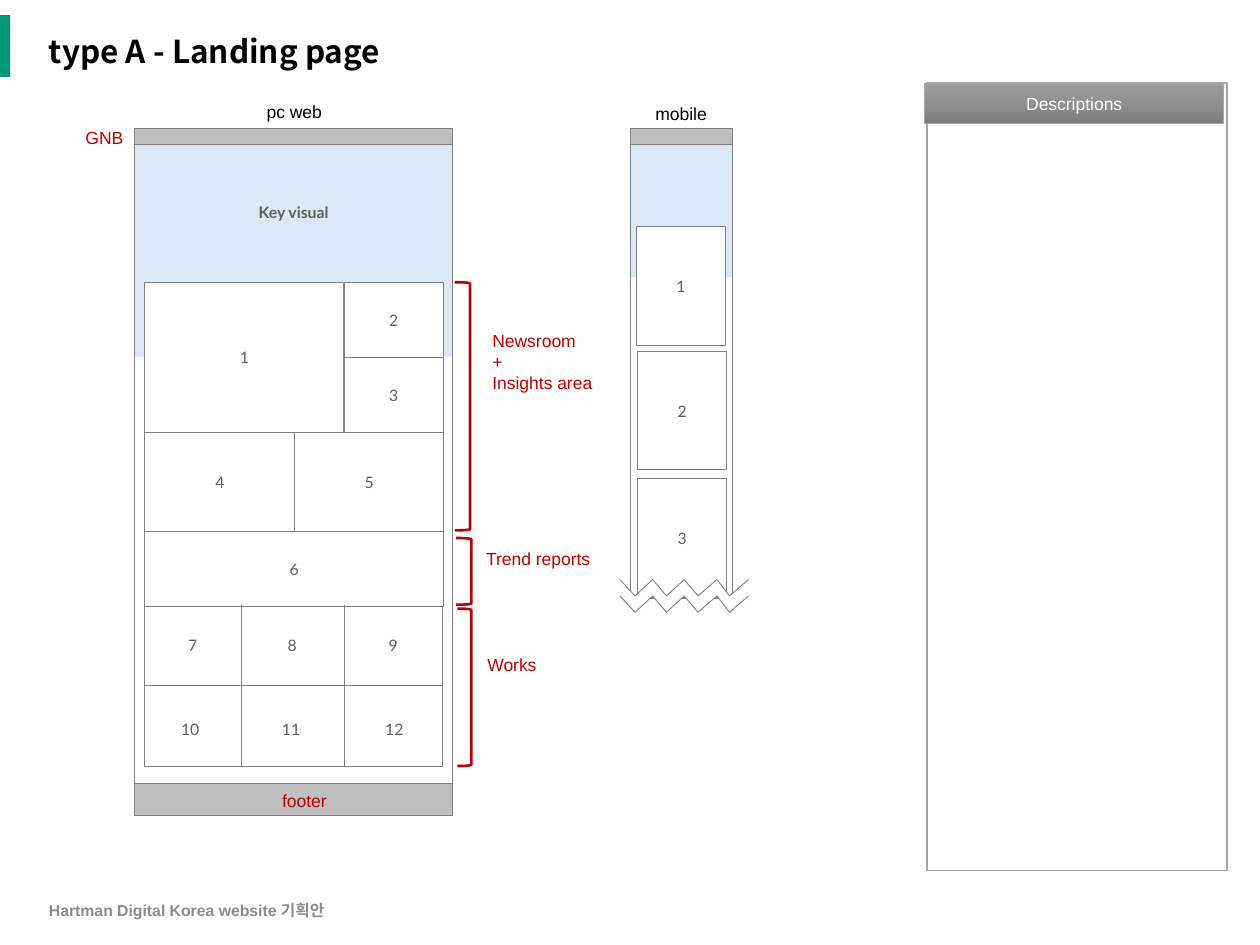
from copy import deepcopy

from lxml import etree
from pptx import Presentation
from pptx.dml.color import RGBColor
from pptx.enum.shapes import MSO_CONNECTOR, MSO_SHAPE
from pptx.enum.text import MSO_ANCHOR, PP_ALIGN
from pptx.oxml.ns import qn
from pptx.util import Inches, Pt

RECT, BRACKET = MSO_SHAPE.RECTANGLE, MSO_SHAPE.RIGHT_BRACKET
STRAIGHT = MSO_CONNECTOR.STRAIGHT
LEFT, CENTER = PP_ALIGN.LEFT, PP_ALIGN.CENTER
TOP, MIDDLE = MSO_ANCHOR.TOP, MSO_ANCHOR.MIDDLE
SANS, NUMERAL, KOREAN = "Arial", "Lato", "Noto Sans CJK KR"
WHITE, BLACK, RED = "FFFFFF", "000000", "C00000"
GRAY, BAR, TEXT_GRAY, SKY = "808080", "BFBFBF", "5F5F5F", "5B9BD5"


def rgb(value):
    return RGBColor.from_string(value)


def write(s, text, size, color, font=SANS, bold=False, align=CENTER, anchor=MIDDLE):
    tf = s.text_frame
    tf.text = text
    tf.vertical_anchor = anchor
    for p in tf.paragraphs:
        p.alignment = align
        for r in p.runs:
            r.font.name, r.font.size, r.font.bold = font, Pt(size), bold
            r.font.color.rgb = rgb(color)
            east_asian = etree.SubElement(r._r.get_or_add_rPr(), qn("a:ea"))
            east_asian.set("typeface", KOREAN)


def paint(s, fill=None, line=None, width=0.5):
    s.shadow.inherit = False
    if fill:
        s.fill.solid()
        s.fill.fore_color.rgb = rgb(fill)
    else:
        s.fill.background()
    if line:
        s.line.color.rgb = rgb(line)
        s.line.width = Pt(width)
    else:
        s.line.fill.background()


def add_box(slide, box, fill=None, line=GRAY, width=0.5, kind=RECT):
    s = slide.shapes.add_shape(kind, *map(Inches, box))
    paint(s, fill, line, width)
    return s


def add_label(slide, box, text, size=10, color=RED, wrap=True, **style):
    sp = slide.shapes.add_textbox(*map(Inches, box))
    sp.text_frame.word_wrap = wrap
    write(sp, text, size, color, **style)
    return sp


def add_card(slide, number, box, fill=WHITE):
    write(add_box(slide, box, fill), str(number), 9, TEXT_GRAY, NUMERAL)


def add_tint(slide, box):
    s = add_box(slide, box, SKY, None)
    color = s._element.spPr.find(qn("a:solidFill"))[0]
    etree.SubElement(color, qn("a:alpha")).set("val", "22000")


def add_rule(slide, x1, y1, x2, y2):
    c = slide.shapes.add_connector(STRAIGHT, *map(Inches, (x1, y1, x2, y2)))
    c.line.color.rgb = rgb(GRAY)
    c.line.width = Pt(0.5)
    etree.SubElement(c._element.spPr, qn("a:effectLst"))
    return c


def add_torn_edge(slide):
    xs = (4.92, 5.04, 5.18, 5.29, 5.43, 5.54, 5.69, 5.79, 5.94)
    upper, lower = (
        [(Inches(x), Inches(y + 0.13 * (i % 2))) for i, x in enumerate(xs)]
        for y in (4.6, 4.73)
    )
    band = slide.shapes.build_freeform(*upper[0], scale=1.0)
    band.add_line_segments(upper[1:] + lower[::-1], close=True)
    paint(band.convert_to_shape(), WHITE)
    edges = slide.shapes.build_freeform(*upper[0], scale=1.0)
    edges.add_line_segments(upper[1:], close=False)
    edges.move_to(*lower[0])
    edges.add_line_segments(lower[1:], close=False)
    paint(edges.convert_to_shape(), line=GRAY)


def add_frame(slide):
    add_box(slide, (0, 0.12, 0.08, 0.49), "029676", None)
    add_box(slide, (7.36, 0.66, 2.38, 6.25), WHITE, "A6A6A6", 1)
    title = add_label(slide, (0.29, 0.18, 9.45, 0.49), "type A - Landing page", 18,
                      BLACK, font=KOREAN, bold=True, align=LEFT, anchor=MIDDLE)
    title.text_frame.paragraphs[0].line_spacing = 0.9
    add_label(slide, (0.29, 7.1, 3.38, 0.25), "Hartman Digital Korea website 기획안", 9,
              "8C8C8C", bold=True, align=LEFT, anchor=MIDDLE)


def add_description_header(slide):
    s = add_box(slide, (7.34, 0.66, 2.37, 0.32), WHITE, "A6A6A6")
    s.fill.gradient()
    s.fill.gradient_angle = 270
    stops = s._element.spPr.find(qn("a:gradFill")).find(qn("a:gsLst"))
    stops.insert(1, deepcopy(stops[0]))
    shades = ((0, "9D9D9D"), (0.5, "909090"), (1, "7C7C7C"))
    for stop, (position, shade) in zip(s.fill.gradient_stops, shades):
        stop.position = position
        stop.color.rgb = rgb(shade)
    tf = s.text_frame
    tf.margin_left = tf.margin_right = tf.margin_top = tf.margin_bottom = Inches(0.04)
    write(s, "Descriptions", 10, WHITE)


def add_pc_page(slide):
    x, w = 1.07, 2.52
    add_tint(slide, (x, 1.15, w, 1.68))
    add_box(slide, (x, 1.15, w, 5.32))
    add_card(slide, 1, (1.15, 2.24, 1.58, 1.19))
    add_card(slide, 2, (2.73, 2.24, 0.79, 0.6))
    add_card(slide, 3, (2.73, 2.84, 0.79, 0.59))
    add_card(slide, 4, (1.15, 3.43, 1.19, 0.79), None)
    add_card(slide, 5, (2.34, 3.43, 1.18, 0.79), None)
    works = add_box(slide, (1.15, 4.8, 2.36, 1.28), WHITE)
    add_box(slide, (x, 1.02, w, 0.13), BAR)
    add_box(slide, (x, 6.22, w, 0.25), BAR)
    add_card(slide, 6, (1.15, 4.22, 2.37, 0.59))
    row_rule = add_rule(slide, 1.15, 5.44, 3.51, 5.44)
    row_rule.begin_connect(works, 1)
    row_rule.end_connect(works, 3)
    for column_x in (2.73, 1.92):
        add_rule(slide, column_x, 4.8, column_x, 6.08)
    centers = (1.53, 2.32, 3.12, 1.51, 2.31, 3.13)
    for i, center in enumerate(centers):
        top = 5 + 0.66 * (i // 3)
        add_label(slide, (center - 0.2, top, 0.4, 0.25), str(i + 7), 9, TEXT_GRAY,
                  wrap=False, font=NUMERAL, anchor=TOP)
    add_label(slide, (x, 1.56, w, 0.25), "Key visual", 9, TEXT_GRAY,
              font=NUMERAL, bold=True, anchor=TOP)


def add_mobile_page(slide):
    x, w = 5, 0.81
    add_box(slide, (x, 1.14, w, 3.61))
    add_tint(slide, (x, 1.15, w, 1.05))
    add_box(slide, (x, 1.02, w, 0.13), BAR)
    for number, (left, top) in enumerate(((5.05, 1.8), (5.06, 2.79), (5.06, 3.8)), 1):
        add_card(slide, number, (left, top, 0.71, 0.94))
    add_torn_edge(slide)


def add_notes_in_red(slide):
    for box in ((3.61, 2.24, 0.12, 1.97), (3.62, 4.27, 0.12, 0.53),
                (3.63, 4.83, 0.11, 1.25)):
        add_box(slide, box, None, RED, 1.5, BRACKET)
    for text, box in (
        ("Newsroom\n+\nInsights area", (3.81, 2.57, 1.03, 0.61)),
        ("Trend reports", (3.76, 4.3, 1.03, 0.44)),
        ("Works", (3.77, 5.14, 1.03, 0.27)),
        ("GNB", (0.58, 0.96, 0.59, 0.27)),
        ("footer", (2.14, 6.22, 0.59, 0.27)),
    ):
        add_label(slide, box, text, align=LEFT, anchor=TOP)


def main():
    prs = Presentation()
    prs.slide_width, prs.slide_height = Inches(10), Inches(7.5)
    slide = prs.slides.add_slide(prs.slide_layouts[6])
    add_frame(slide)
    add_description_header(slide)
    add_pc_page(slide)
    add_mobile_page(slide)
    add_notes_in_red(slide)
    for text, x, y in (("pc web", 1.07, 0.75), ("mobile", 4.14, 0.77)):
        add_label(slide, (x, y, 2.53, 0.27), text, color=BLACK, anchor=TOP)
    prs.save("out.pptx")


if __name__ == "__main__":
    main()
